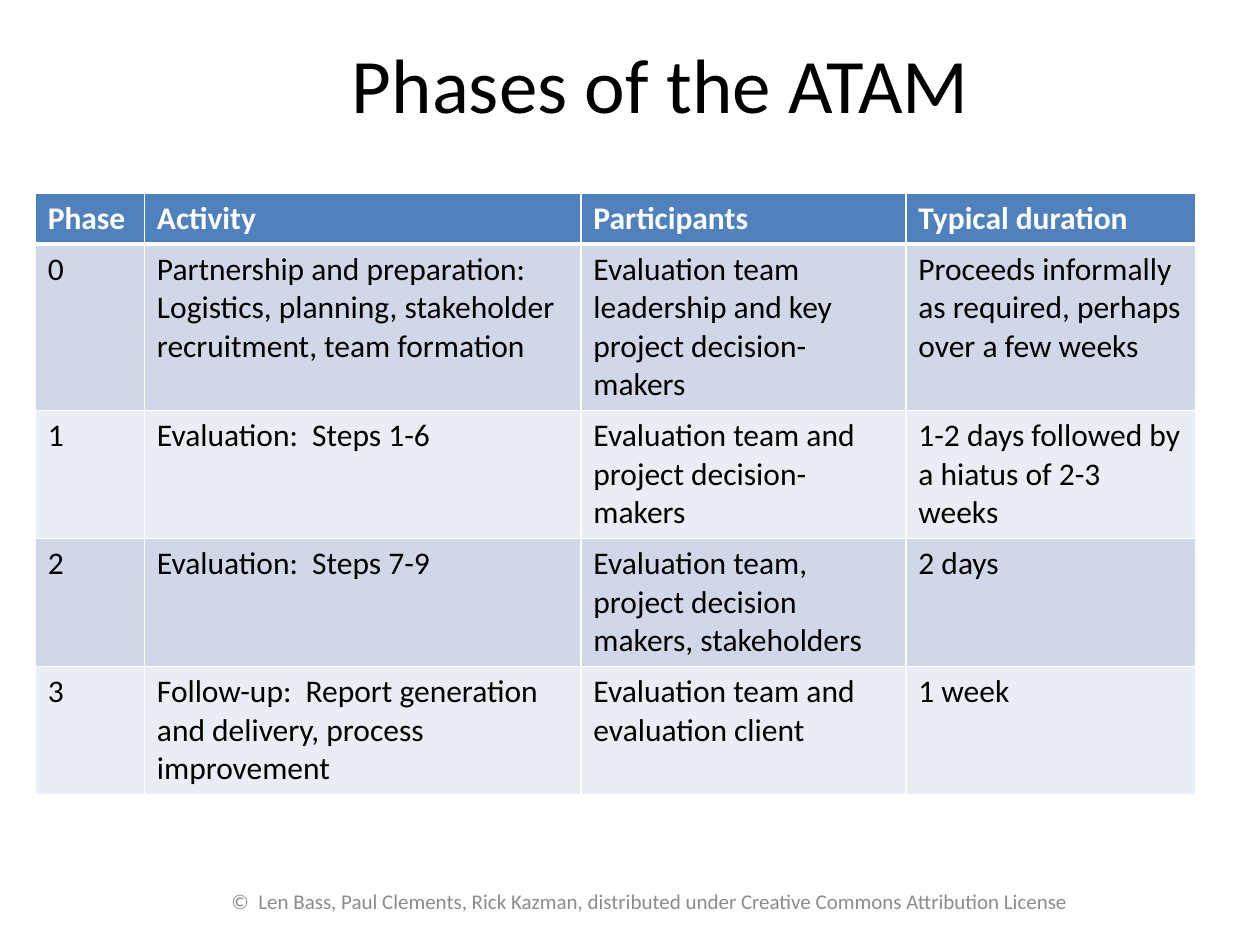
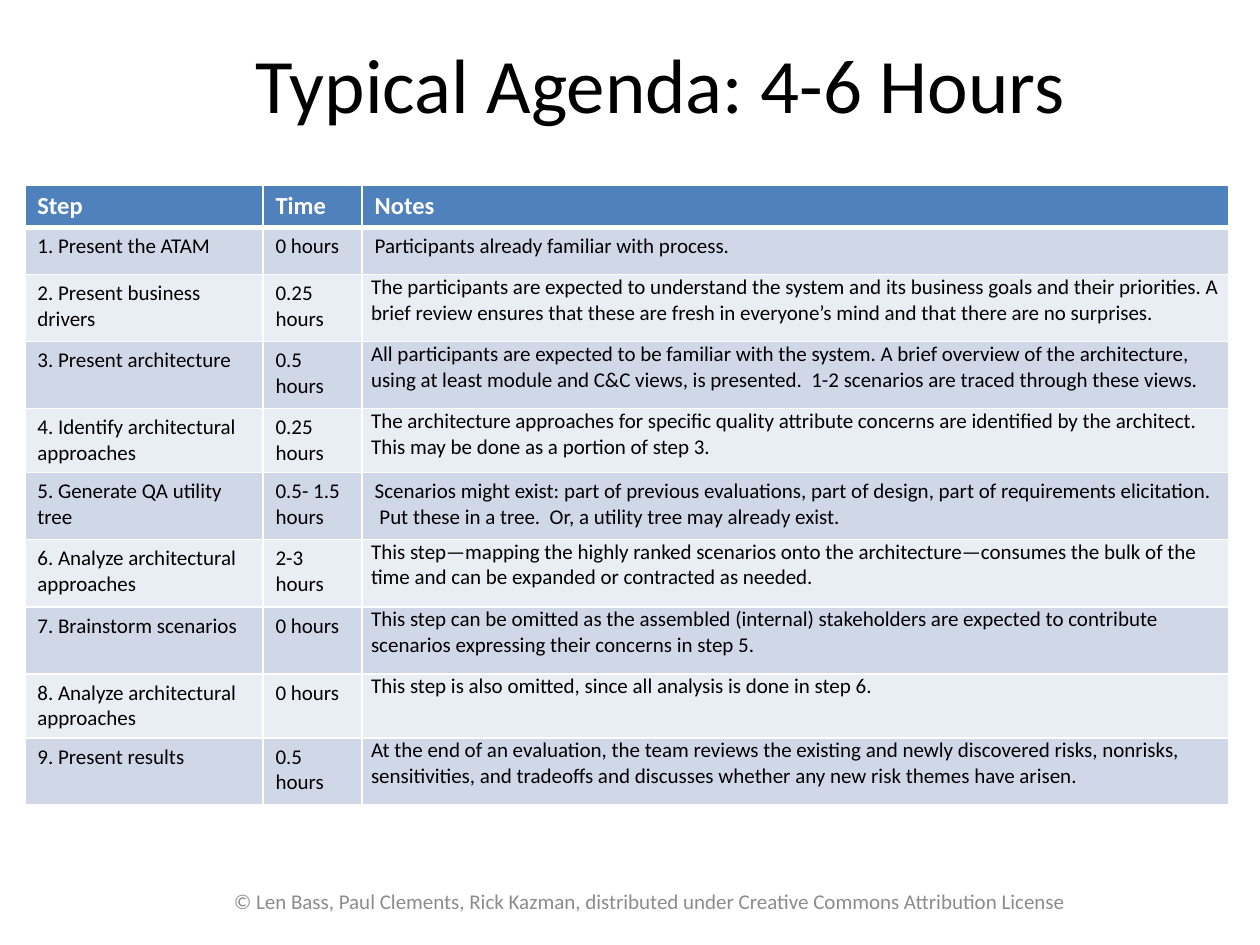
from lxml import etree
from pptx import Presentation
from pptx.dml.color import RGBColor
from pptx.enum.text import MSO_ANCHOR, MSO_AUTO_SIZE, PP_ALIGN
from pptx.oxml.ns import qn
from pptx.util import Cm, Pt

CENTER = PP_ALIGN.CENTER
LEFT = PP_ALIGN.LEFT
MIDDLE = MSO_ANCHOR.MIDDLE
NO_AUTOFIT = MSO_AUTO_SIZE.NONE
TITLE_ONLY = 5

FONT = "Calibri"
BLACK = "000000"
WHITE = "FFFFFF"
GRAY = "8C8C8C"
HEADER_FILL = "4F81BD"
BAND_FILLS = ("E9EDF4", "D0D8E8")
CREDIT = (
    "Len Bass, Paul Clements, Rick Kazman, "
    "distributed under Creative Commons Attribution License"
)

PHASES = [
    ("Phase", "Activity", "Participants", "Typical duration"),
    (
        "0",
        "Partnership and preparation:  Logistics, planning, stakeholder recruitment, team formation",
        "Evaluation team leadership and key project decision-makers",
        "Proceeds informally as required, perhaps over a few weeks",
    ),
    (
        "1",
        "Evaluation:  Steps 1-6",
        "Evaluation team and project decision-makers",
        "1-2 days followed by a hiatus of 2-3 weeks",
    ),
    (
        "2",
        "Evaluation:  Steps 7-9",
        "Evaluation team, project decision makers, stakeholders",
        "2 days",
    ),
    (
        "3",
        "Follow-up:  Report generation and delivery, process improvement",
        "Evaluation team and evaluation client",
        "1 week",
    ),
]

AGENDA = [
    ("Step", "Time", "Notes"),
    ("1. Present the ATAM", "0 hours", "Participants already familiar with process."),
    (
        "2. Present business drivers",
        "0.25 hours",
        "The participants are expected to understand the system and its business goals "
        "and their priorities. A brief review ensures that these are fresh in everyone’s "
        "mind and that there are no surprises.",
    ),
    (
        "3. Present architecture",
        "0.5 hours",
        "All participants are expected to be familiar with the system. A brief overview "
        "of the architecture, using at least module and C&C views, is presented.  "
        "1-2 scenarios are traced through these views.",
    ),
    (
        "4. Identify architectural approaches",
        "0.25 hours",
        "The architecture approaches for specific quality attribute concerns are "
        "identified by the architect. This may be done as a portion of step 3.",
    ),
    (
        "5. Generate QA utility tree",
        "0.5- 1.5 hours",
        "Scenarios might exist: part of previous evaluations, part of design, part of "
        "requirements elicitation.  Put these in a tree.  Or, a utility tree may already exist.",
    ),
    (
        "6. Analyze architectural approaches",
        "2-3 hours",
        "This step—mapping the highly ranked scenarios onto the architecture—consumes "
        "the bulk of the time and can be expanded or contracted as needed.",
    ),
    (
        "7. Brainstorm scenarios",
        "0 hours",
        "This step can be omitted as the assembled (internal) stakeholders are expected "
        "to contribute scenarios expressing their concerns in step 5.",
    ),
    (
        "8. Analyze architectural approaches",
        "0 hours",
        "This step is also omitted, since all analysis is done in step 6.",
    ),
    (
        "9. Present results",
        "0.5 hours",
        "At the end of an evaluation, the team reviews the existing and newly discovered "
        "risks, nonrisks, sensitivities, and tradeoffs and discusses whether any new risk "
        "themes have arisen.",
    ),
]
COMPACT_NOTE_ROWS = (2, 3, 4, 6, 7, 8, 9)


def color(value):
    return RGBColor.from_string(value)


def format_paragraph(paragraph, size, font_color, align=LEFT, bold=False):
    paragraph.alignment = align
    font = paragraph.font
    font.name = FONT
    font.size = Pt(size)
    font.bold = bold
    font.color.rgb = color(font_color)


def place(shape, left, top, width, height):
    shape.left, shape.top = Cm(left), Cm(top)
    shape.width, shape.height = Cm(width), Cm(height)


def fill_centered(shape, text, size, font_color):
    frame = shape.text_frame
    frame.text = text
    frame.word_wrap = True
    frame.auto_size = NO_AUTOFIT
    frame.vertical_anchor = MIDDLE
    format_paragraph(frame.paragraphs[0], size, font_color, CENTER)


def add_titled_slide(presentation, title_text, footer_text):
    slide = presentation.slides.add_slide(presentation.slide_layouts[TITLE_ONLY])
    title = slide.shapes.title
    place(title, 2.5, 0.76, 21.64, 2.16)
    fill_centered(title, title_text, 44, BLACK)
    title.text_frame.paragraphs[0].line_spacing = 0.8
    footer = slide.shapes.add_textbox(Cm(3.5), Cm(17.65), Cm(19.2), Cm(1.02))
    fill_centered(footer, footer_text, 12, GRAY)
    return slide


def set_borders(cell, top, bottom):
    properties = cell._tc.get_or_add_tcPr()
    for tag, width in (("a:lnL", 1), ("a:lnR", 1), ("a:lnT", top), ("a:lnB", bottom)):
        line = etree.SubElement(properties, qn(tag), w=str(Pt(width)))
        fill = etree.SubElement(line, qn("a:solidFill"))
        etree.SubElement(fill, qn("a:srgbClr"), val=WHITE)


def format_cell(cell, text, row, size):
    is_header = row == 0
    set_borders(cell, 3 if row == 1 else 1, 3 if is_header else 1)
    cell.fill.solid()
    cell.fill.fore_color.rgb = color(HEADER_FILL if is_header else BAND_FILLS[row % 2])
    cell.text = text
    font_color = WHITE if is_header else BLACK
    format_paragraph(cell.text_frame.paragraphs[0], size, font_color, bold=is_header)


def compact_cell(cell):
    cell.margin_left = cell.margin_right = Cm(0.18)
    cell.margin_top = cell.margin_bottom = 0
    cell.text_frame.paragraphs[0].space_after = Pt(4)


def add_banded_table(slide, rows, left, top, widths, heights, header_size, body_size):
    shape = slide.shapes.add_table(
        len(rows), len(widths), Cm(left), Cm(top), Cm(sum(widths)), Cm(sum(heights))
    )
    table = shape.table
    table.horz_banding = False
    for column, width in zip(table.columns, widths):
        column.width = Cm(width)
    for row_index, (texts, height) in enumerate(zip(rows, heights)):
        table.rows[row_index].height = Cm(height)
        size = body_size if row_index else header_size
        for column_index, text in enumerate(texts):
            format_cell(table.cell(row_index, column_index), text, row_index, size)
    return shape


def add_phases_slide(presentation):
    slide = add_titled_slide(presentation, "Phases of the ATAM", "©  " + CREDIT)
    widths = (2.2, 8.8, 6.55, 5.84)
    heights = [1.03] * len(PHASES)
    shape = add_banded_table(slide, PHASES, 0.71, 3.89, widths, heights, 18, 18)
    shape.height = Cm(11.96)


def add_agenda_slide(presentation):
    slide = add_titled_slide(presentation, "Typical Agenda: 4-6 Hours", "© " + CREDIT)
    widths = (4.8, 2, 17.47)
    heights = (0.85, 0.95, 1.35, 1.35, 1.27, 1.35, 1.36, 1.35, 1.29, 1.35)
    shape = add_banded_table(slide, AGENDA, 0.5, 3.73, widths, heights, 14, 12)
    for row in COMPACT_NOTE_ROWS:
        compact_cell(shape.table.cell(row, 2))


def main():
    presentation = Presentation()
    presentation.slide_width = Cm(25.4)
    presentation.slide_height = Cm(19.05)
    add_phases_slide(presentation)
    add_agenda_slide(presentation)
    presentation.save("out.pptx")


if __name__ == "__main__":
    main()
